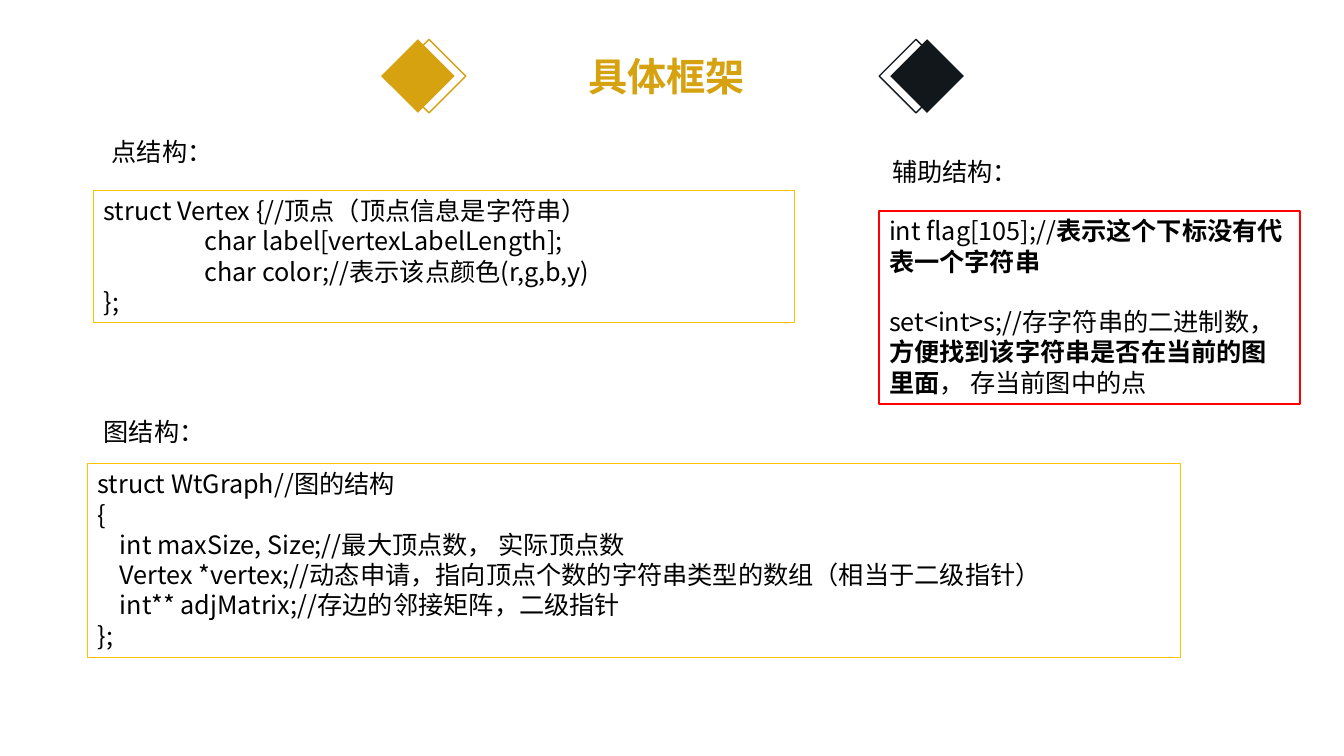
import dataclasses

import pptx
import pptx.dml.color
import pptx.enum.shapes
import pptx.enum.text
import pptx.oxml
import pptx.oxml.ns
import pptx.util

Inches = pptx.util.Inches
Pt = pptx.util.Pt


@dataclasses.dataclass(frozen=True)
class Theme:
    gold: str = "D6A210"
    dark: str = "12171C"
    amber: str = "FFC000"
    red: str = "FF0000"
    ink: str = "000000"
    title_font: str = "Lato"
    body_font: str = "Noto Sans CJK SC"
    title_size: float = 28
    body_size: float = 18
    line_pitch: float = 21.6


@dataclasses.dataclass
class Line:
    runs: list
    indent: float = 0
    space_before: float = 0


class SlideBuilder:
    def __init__(self, slide, theme):
        self.slide = slide
        self.theme = theme

    def color(self, value):
        return pptx.dml.color.RGBColor.from_string(value)

    def add_run(self, paragraph, text, font, size, color, bold=False):
        run = paragraph.add_run()
        run.text = text
        run.font.name = font
        run.font.size = Pt(size)
        run.font.bold = bold
        run.font.color.rgb = self.color(color)
        east_asian = pptx.oxml.parse_xml(
            f'<a:ea {pptx.oxml.ns.nsdecls("a")} typeface="{self.theme.body_font}"/>'
        )
        run.font._element.find(pptx.oxml.ns.qn("a:latin")).addnext(east_asian)

    def add_shape(self, kind, box, fill=None, line=None, width=1):
        shape = self.slide.shapes.add_shape(kind, *map(Inches, box))
        shape.shadow.inherit = False
        if fill:
            shape.fill.solid()
            shape.fill.fore_color.rgb = self.color(fill)
        else:
            shape.fill.background()
        if line:
            shape.line.color.rgb = self.color(line)
            shape.line.width = Pt(width)
        else:
            shape.line.fill.background()
        return shape

    def add_diamond_pair(self, solid_left, outline_left, color):
        diamond = pptx.enum.shapes.MSO_SHAPE.DIAMOND
        top, size = 0.39, 0.73
        self.add_shape(diamond, (solid_left, top, size, size), fill=color)
        self.add_shape(diamond, (outline_left, top, size, size), line=color)

    def write_lines(self, shape, lines):
        frame = shape.text_frame
        frame.word_wrap = True
        frame.vertical_anchor = pptx.enum.text.MSO_ANCHOR.TOP
        for index, line in enumerate(lines):
            paragraph = frame.add_paragraph() if index else frame.paragraphs[0]
            paragraph.alignment = pptx.enum.text.PP_ALIGN.LEFT
            paragraph.line_spacing = Pt(self.theme.line_pitch)
            paragraph.space_before = Pt(line.space_before)
            if line.indent:
                paragraph._p.get_or_add_pPr().set("marL", str(Inches(line.indent)))
            for text, bold in line.runs:
                self.add_run(paragraph, text, self.theme.body_font,
                             self.theme.body_size, self.theme.ink, bold)

    def add_title(self, text, box):
        frame = self.slide.shapes.add_textbox(*map(Inches, box)).text_frame
        frame.word_wrap = False
        paragraph = frame.paragraphs[0]
        paragraph.alignment = pptx.enum.text.PP_ALIGN.CENTER
        paragraph.line_spacing = Pt(self.theme.title_size * 1.2)
        self.add_run(paragraph, text, self.theme.title_font,
                     self.theme.title_size, self.theme.gold, True)

    def add_label(self, text, box):
        shape = self.slide.shapes.add_textbox(*map(Inches, box))
        self.write_lines(shape, [Line([(text, False)])])

    def add_code_box(self, box, border, width, lines):
        rectangle = pptx.enum.shapes.MSO_SHAPE.RECTANGLE
        shape = self.add_shape(rectangle, box, line=border, width=width)
        self.write_lines(shape, lines)


def code_lines(text_lines, indent):
    last = len(text_lines) - 1
    return [
        Line([(text, False)], 0 if text == "{" or index in (0, last) else indent)
        for index, text in enumerate(text_lines)
    ]


def main():
    presentation = pptx.Presentation()
    presentation.slide_width = Inches(13.33)
    presentation.slide_height = Inches(7.5)
    slide = presentation.slides.add_slide(presentation.slide_layouts[6])
    theme = Theme()
    builder = SlideBuilder(slide, theme)

    builder.add_diamond_pair(3.78, 3.89, theme.gold)
    builder.add_diamond_pair(8.83, 8.72, theme.dark)
    builder.add_title("具体框架", (5.73, 0.47, 1.76, 0.57))

    builder.add_label("图结构：", (0.93, 4.08, 6.31, 0.4))
    builder.add_code_box((0.87, 4.6, 10.84, 1.92), theme.amber, 0.75, code_lines([
        "struct WtGraph//图的结构",
        "{",
        "int maxSize, Size;//最大顶点数， 实际顶点数",
        "Vertex *vertex;//动态申请，指向顶点个数的字符串类型的数组（相当于二级指针）",
        "int** adjMatrix;//存边的邻接矩阵，二级指针",
        "};",
    ], 0.22))

    builder.add_code_box((0.93, 1.89, 6.95, 1.31), theme.amber, 0.75, code_lines([
        "struct Vertex {//顶点（顶点信息是字符串）",
        "char label[vertexLabelLength];",
        "char color;//表示该点颜色(r,g,b,y)",
        "};",
    ], 1))
    builder.add_label("点结构：", (1.01, 1.3, 2.02, 0.4))

    builder.add_code_box((8.72, 2.09, 4.17, 1.92), theme.red, 1.5, [
        Line([("int flag[105];//", False), ("表示这个下标没有代表一个字符串", True)]),
        Line([
            ("set<int>s;//存字符串的二进制数，", False),
            ("方便找到该字符串是否在当前的图里面", True),
            ("， 存当前图中的点", False),
        ], space_before=theme.line_pitch),
    ])
    builder.add_label("辅助结构：", (8.75, 1.5, 2.19, 0.4))

    presentation.save("out.pptx")


if __name__ == "__main__":
    main()
